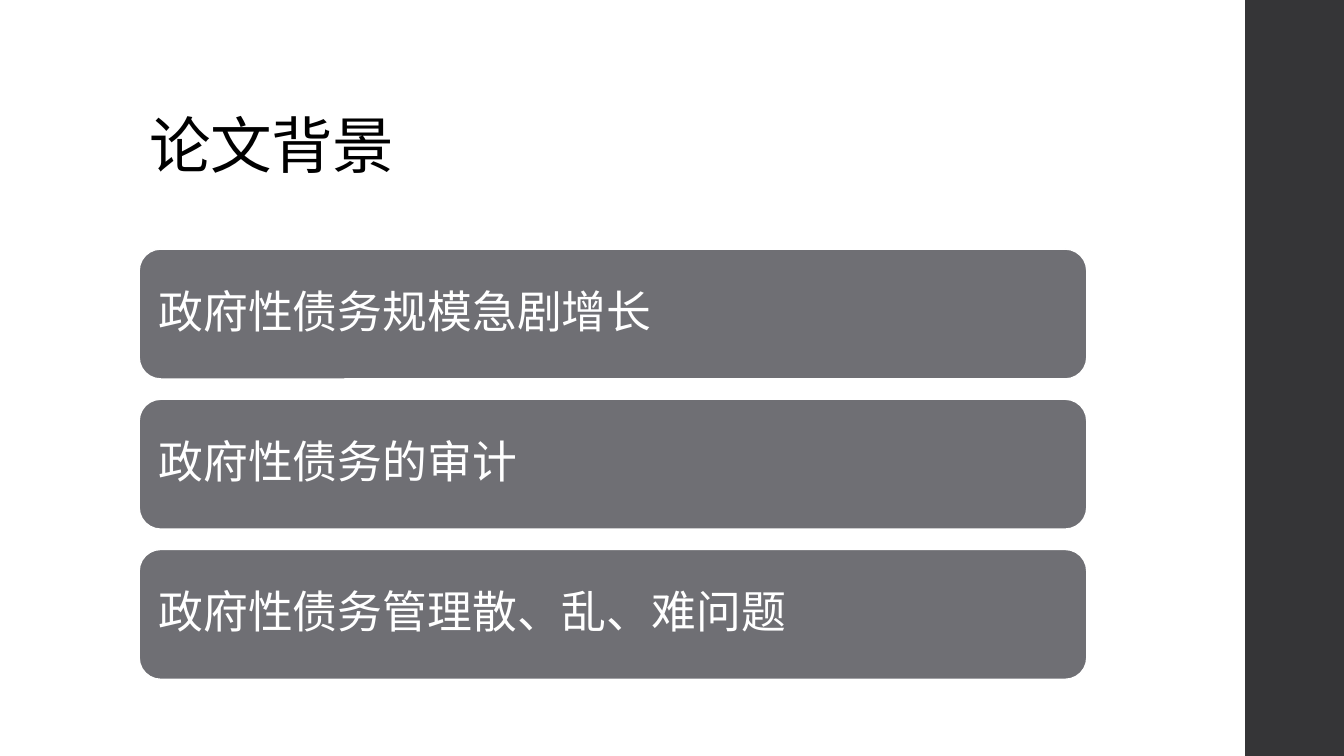
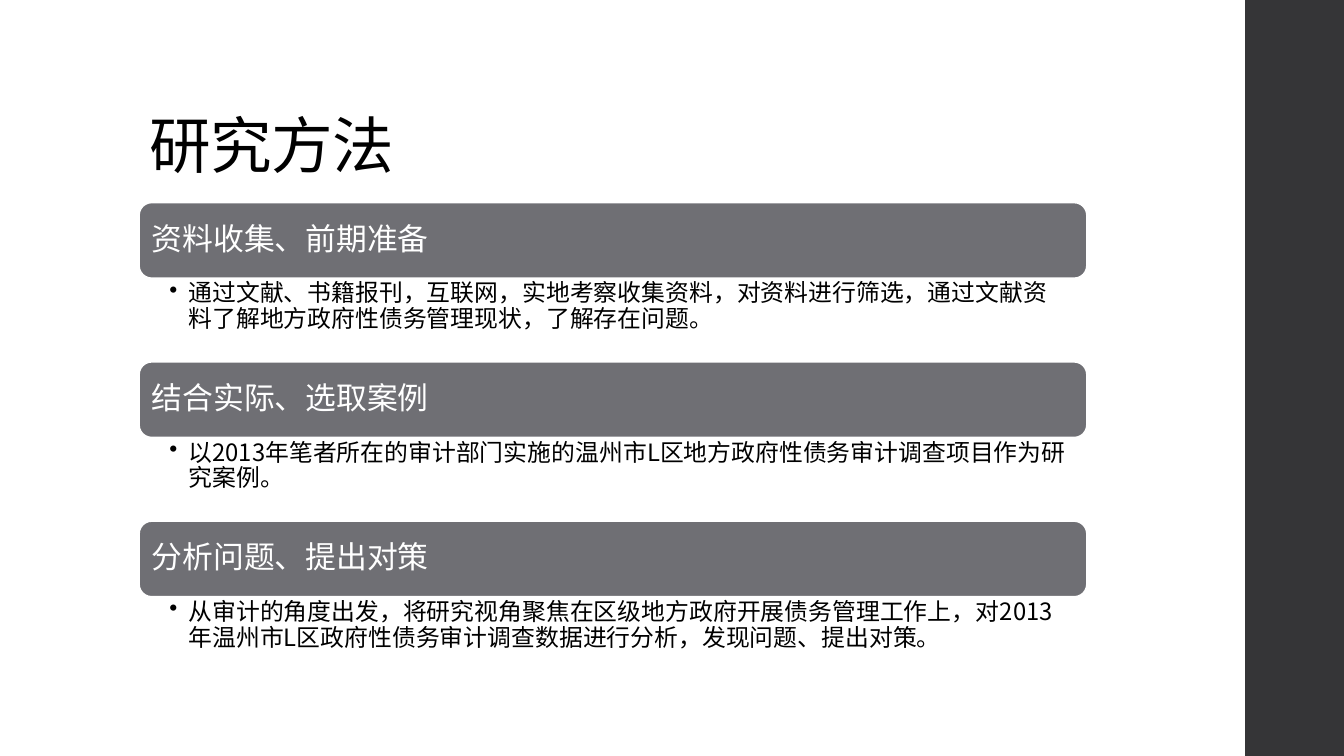
from lxml import etree
from pptx import Presentation
from pptx.dml.color import RGBColor
from pptx.enum.shapes import MSO_SHAPE as SHAPE
from pptx.enum.text import MSO_ANCHOR as ANCHOR, MSO_AUTO_SIZE as AUTO, PP_ALIGN as ALIGN
from pptx.oxml.ns import qn
from pptx.util import Inches, Pt

FONT = "Noto Sans CJK SC"
BLACK, WHITE, BAR, BAND = "000000", "FFFFFF", "6F6F74", "353537"
LEFT, WIDTH = 1.38, 9.4

BACKGROUND = ["政府性债务规模急剧增长", "政府性债务的审计", "政府性债务管理散、乱、难问题"]
METHODS = [
    ("资料收集、前期准备",
     "通过文献、书籍报刊，互联网，实地考察收集资料，对资料进行筛选，通过文献资料了解地方政府性债务管理现状，了解存在问题。"),
    ("结合实际、选取案例",
     "以2013年笔者所在的审计部门实施的温州市L区地方政府性债务审计调查项目作为研究案例。"),
    ("分析问题、提出对策",
     "从审计的角度出发，将研究视角聚焦在区级地方政府开展债务管理工作上，"
     "对2013年温州市L区政府性债务审计调查数据进行分析，发现问题、提出对策。"),
]


def set_text(sp, text, size, color, anchor, margins):
    """Fill a shape with one left-aligned paragraph; margins are left, top, right, bottom."""
    tf = sp.text_frame
    tf.text = text
    tf.word_wrap = True
    tf.auto_size = AUTO.NONE
    tf.vertical_anchor = anchor
    tf.margin_left, tf.margin_top, tf.margin_right, tf.margin_bottom = map(Inches, margins)
    p = tf.paragraphs[0]
    p.alignment = ALIGN.LEFT
    p.line_spacing = 0.9
    font = p.runs[0].font
    font.size = Pt(size)
    font.name = FONT
    font.color.rgb = RGBColor.from_string(color)
    etree.SubElement(font._element, qn("a:ea"), typeface=FONT)
    return p


def add_block(s, shape, x, y, w, h, fill, line):
    sp = s.shapes.add_shape(shape, Inches(x), Inches(y), Inches(w), Inches(h))
    sp.shadow.inherit = False
    sp.fill.solid()
    sp.fill.fore_color.rgb = RGBColor.from_string(fill)
    sp.line.color.rgb = RGBColor.from_string(line)
    sp.line.width = Pt(1.1)
    return sp


prs = Presentation()
prs.slide_width, prs.slide_height = Inches(13.33), Inches(7.5)

# Title and side band on every slide
slides = []
for heading in ("论文背景", "研究方法"):
    s = prs.slides.add_slide(prs.slide_layouts[5])
    band = add_block(s, SHAPE.RECTANGLE, 12.35, 0, 0.98, 7.5, BAND, BAND)
    band.line.fill.background()
    title = s.shapes.title
    title.left, title.top = Inches(LEFT), Inches(0.4)
    title.width, title.height = Inches(10.6), Inches(1.45)
    p = set_text(title, heading, 44, BLACK, ANCHOR.BOTTOM, (0.1, 0.05, 0.1, 0.05))
    p.runs[0].font._element.set("spc", "-50")
    slides.append(s)
background, methods = slides

# Background: three large bars
for i, text in enumerate(BACKGROUND):
    bar = add_block(background, SHAPE.ROUNDED_RECTANGLE, LEFT, 2.47 + i * 1.49, WIDTH, 1.29, BAR, WHITE)
    set_text(bar, text, 32, WHITE, ANCHOR.MIDDLE, [0.13] * 4)

# Methods: a bar with a bulleted explanation below it
bar_h, detail_h = 0.75, 0.82
for i, (step, detail) in enumerate(METHODS):
    top = 2.01 + i * 1.58
    bar = add_block(methods, SHAPE.ROUNDED_RECTANGLE, LEFT, top, WIDTH, bar_h, BAR, WHITE)
    set_text(bar, step, 22, WHITE, ANCHOR.MIDDLE, [0.09] * 4)
    box = methods.shapes.add_textbox(Inches(LEFT), Inches(top + bar_h), Inches(WIDTH), Inches(detail_h))
    p = set_text(box, detail, 17, BLACK, ANCHOR.TOP, (0.3, 0.03, 0.17, 0.03))
    pPr = p._p.get_or_add_pPr()
    pPr.set("marL", str(Inches(0.19)))
    pPr.set("indent", str(-Inches(0.19)))
    etree.SubElement(pPr, qn("a:buChar"), char="•")

prs.save("out.pptx")
